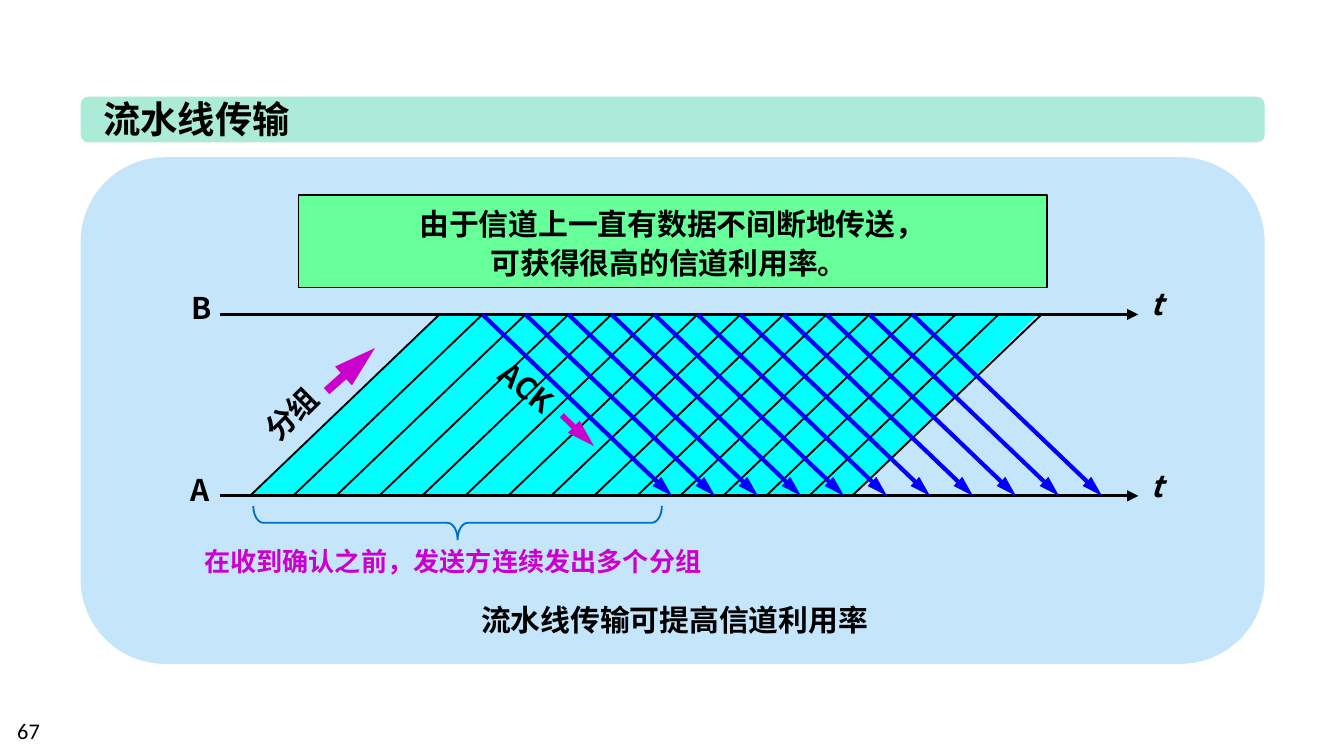
from lxml.etree import SubElement
from pptx import Presentation
from pptx.dml.color import RGBColor
from pptx.enum.shapes import MSO_CONNECTOR as Link, MSO_SHAPE as Kind
from pptx.enum.text import MSO_ANCHOR as Anchor, PP_ALIGN as Align
from pptx.oxml.ns import qn
from pptx.util import Inches, Pt

SANS = "Noto Sans CJK SC"
BLACK, BLUE, PINK = "000000", "0000FF", "CC00CC"
TOP, BASE = 2.34, 3.69      # time axes of B and A
STEP, RUN = 0.32, 1.41      # gap between packets, sideways travel of one


def color(code):
    return RGBColor.from_string(code)


def paint(shape, fill=None, line=None, width=0.75):
    shape.shadow.inherit = False
    if fill:
        shape.fill.solid()
        shape.fill.fore_color.rgb = color(fill)
    else:
        shape.fill.background()
    if line:
        shape.line.color.rgb = color(line)
        shape.line.width = Pt(width)
    else:
        shape.line.fill.background()


def block(slide, kind, box, fill=None, line=None, width=0.75):
    shape = slide.shapes.add_shape(kind, *map(Inches, box))
    paint(shape, fill, line, width)
    return shape


def write(shape, text, size=16, code=BLACK, face=SANS, bold=True,
          italic=False, align=Align.LEFT, space=None):
    frame = shape.text_frame
    frame.text = text
    for para in frame.paragraphs:
        para.alignment = align
        para.line_spacing = space
        for run in para.runs:
            font = run.font
            font.size, font.name = Pt(size), face
            font.bold, font.italic = bold, italic
            font.color.rgb = color(code)
            SubElement(font._element, qn("a:ea"), typeface=face)


def label(slide, box, text, wrap=False, turn=0, **look):
    shape = slide.shapes.add_textbox(*map(Inches, box))
    shape.text_frame.word_wrap = wrap
    shape.rotation = turn
    write(shape, text, **look)


def line(slide, start, end, code=BLACK, width=1.0, head=None):
    """Straight line; head is the length of its arrowhead, if any."""
    link = slide.shapes.add_connector(
        Link.STRAIGHT, *map(Inches, (*start, *end)))
    link.line.color.rgb = color(code)
    link.line.width = Pt(width)
    if head:
        SubElement(link.line._get_or_add_ln(), qn("a:tailEnd"),
                   type="triangle", w="med", len=head)
    SubElement(link._element.spPr, qn("a:effectLst"))


def band(slide):
    """Area of the channel filled by packets."""
    spots = [(1.87, BASE), (3.26, TOP), (7.72, TOP), (6.35, BASE)]
    first, *rest = [(Inches(x), Inches(y)) for x, y in spots]
    pen = slide.shapes.build_freeform(*first)
    pen.add_line_segments(rest, close=True)
    paint(pen.convert_to_shape(), "00FFFF")


def flow(slide):
    """Packets from A to B and the replies from B to A."""
    band(slide)
    for name, left, y in (("B", 1.33, TOP), ("A", 1.32, BASE)):
        line(slide, (1.64, y), (8.47, y), width=1.5, head="med")
        label(slide, (left, y - 0.23, 0.37, 0.37), name)
        label(slide, (8.46, y - 0.26, 0.29, 0.37), "t", italic=True)
    for i in range(15):
        x = 1.86 + i * STEP
        line(slide, (x, BASE), (x + RUN, TOP))
    for i in range(11):
        x = 3.59 + i * STEP
        line(slide, (x, TOP), (x + RUN, BASE), BLUE, 2.25, "lg")
    label(slide, (1.85, 2.89, 0.65, 0.37), "分组", turn=315.3)
    line(slide, (2.43, 2.91), (2.79, 2.59), PINK, 4.5, "lg")
    label(slide, (3.6, 2.71, 0.67, 0.37), "ACK", turn=37.8)
    line(slide, (4.18, 3.09), (4.42, 3.32), PINK, 3, "lg")


def main():
    deck = Presentation()
    deck.slide_width = Inches(10)
    deck.slide_height = deck.slide_width * 9 // 16
    slide = deck.slides.add_slide(deck.slide_layouts[6])

    block(slide, Kind.ROUNDED_RECTANGLE, (0.6, 0.72, 8.81, 0.34), "ABEBD7")
    label(slide, (0.67, 0.67, 1.6, 0.44), "流水线传输", size=20)
    block(slide, Kind.ROUNDED_RECTANGLE, (0.6, 1.17, 8.81, 3.77), "C5E5FB")
    note = block(slide, Kind.RECTANGLE, (2.22, 1.45, 5.57, 0.69),
                 "66FF99", BLACK)
    note.text_frame.vertical_anchor = Anchor.MIDDLE
    write(note, "由于信道上一直有数据不间断地传送，\n可获得很高的信道利用率。 ",
          align=Align.CENTER, space=1.1)

    flow(slide)

    label(slide, (1.43, 4.43, 7.18, 0.37), "流水线传输可提高信道利用率",
          wrap=True, align=Align.CENTER)
    brace = block(slide, Kind.LEFT_BRACE, (3.28, 2.37, 0.25, 3.04),
                  line="0070C0", width=1)
    brace.adjustments[0] = 0.3
    brace.rotation = 270
    label(slide, (1.42, 4.01, 3.93, 0.34),
          "在收到确认之前，发送方连续发出多个分组", size=14, code=PINK)
    label(slide, (0.03, 5.29, 2.33, 0.3), "67", wrap=True, size=12,
          face="Calibri", bold=False)
    deck.save("out.pptx")


if __name__ == "__main__":
    main()
